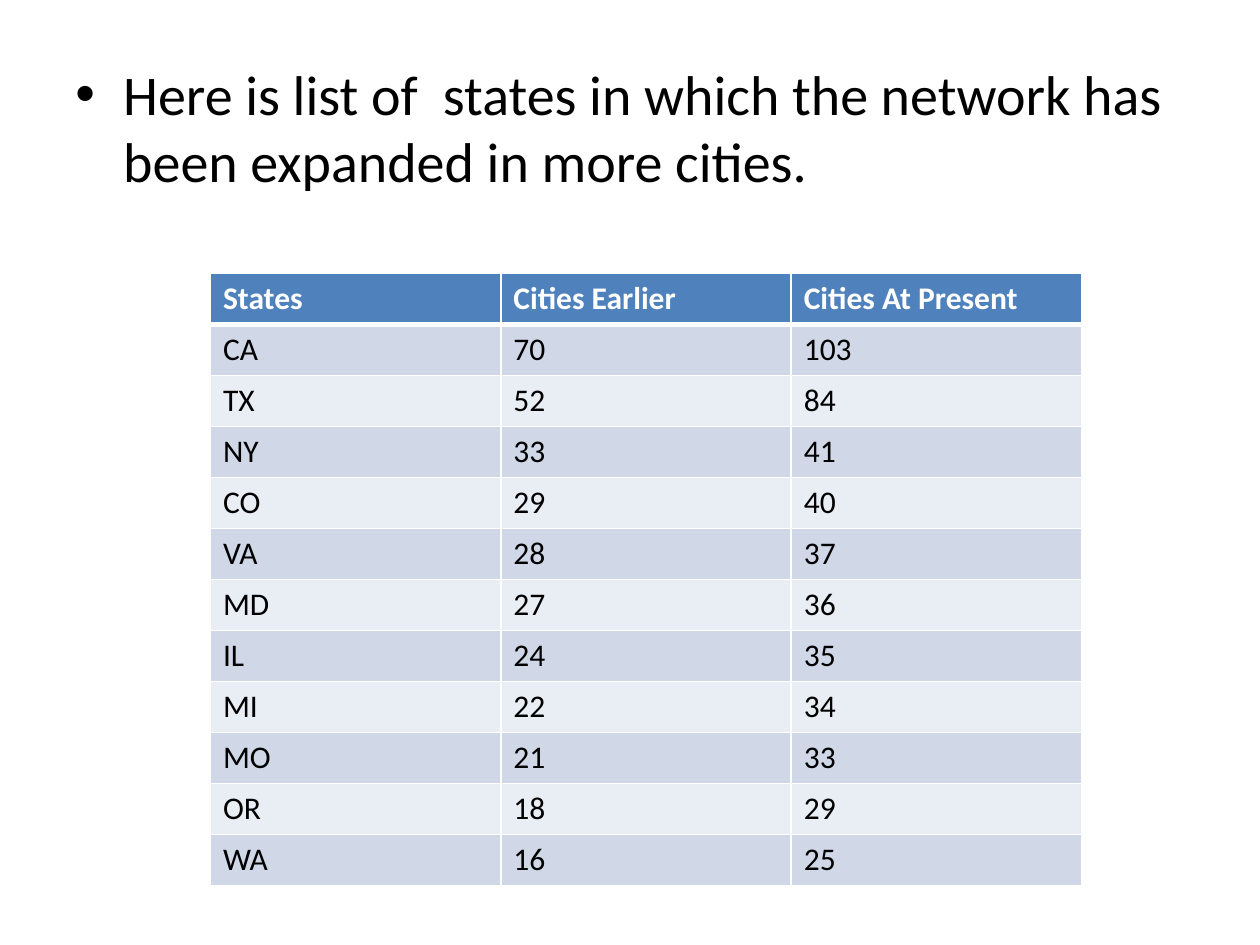
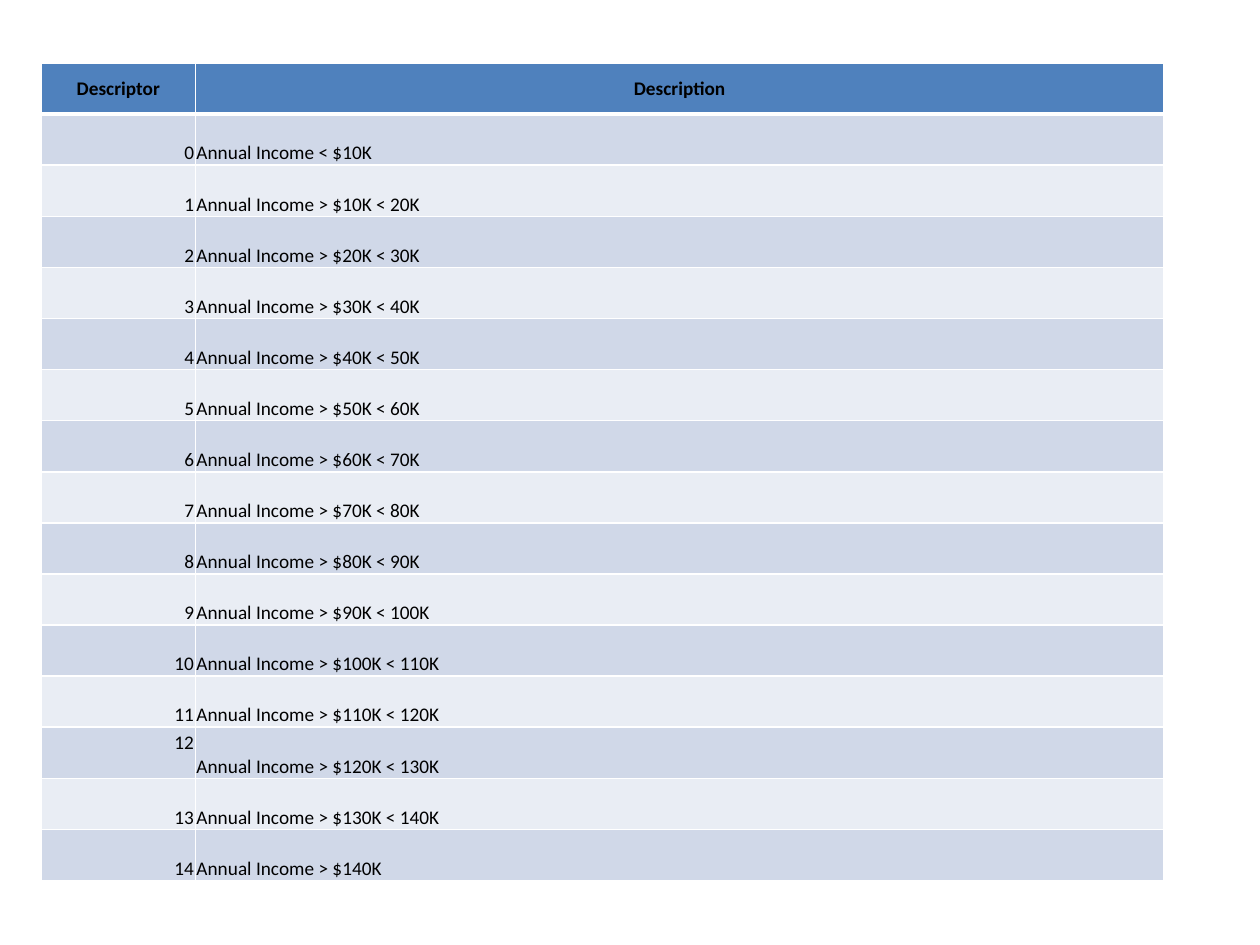
from lxml import etree
from pptx import Presentation
from pptx.dml.color import RGBColor
from pptx.enum.text import MSO_ANCHOR, PP_ALIGN
from pptx.oxml.ns import qn
from pptx.util import Inches, Pt

LEFT, CENTER, RIGHT = PP_ALIGN.LEFT, PP_ALIGN.CENTER, PP_ALIGN.RIGHT
TOP, MIDDLE, BOTTOM = MSO_ANCHOR.TOP, MSO_ANCHOR.MIDDLE, MSO_ANCHOR.BOTTOM

FONT = "Calibri"
COLORS = {
    "text": "000000",
    "white": "FFFFFF",
    "header": "4F81BD",
    "odd_row": "D0D8E8",
    "even_row": "E9EDF4",
}

STATES = [
    ("States", "Cities Earlier", "Cities At Present"),
    ("CA", 70, 103),
    ("TX", 52, 84),
    ("NY", 33, 41),
    ("CO", 29, 40),
    ("VA", 28, 37),
    ("MD", 27, 36),
    ("IL", 24, 35),
    ("MI", 22, 34),
    ("MO", 21, 33),
    ("OR", 18, 29),
    ("WA", 16, 25),
]


def income_bands():
    middle = [f"Annual Income > ${low}K < {low + 10}K" for low in range(10, 140, 10)]
    descriptions = ["Annual Income < $10K", *middle, "Annual Income > $140K"]
    return [("Descriptor", "Description"), *enumerate(descriptions)]


def add_run(paragraph, text, size, color="text", bold=False):
    run = paragraph.add_run()
    run.text = text
    run.font.name = FONT
    run.font.size = Pt(size)
    run.font.bold = bold
    run.font.color.rgb = RGBColor.from_string(COLORS[color])


def add_bullet_text(slide, text, left, top, width, height):
    frame = slide.shapes.add_textbox(
        Inches(left), Inches(top), Inches(width), Inches(height)
    ).text_frame
    frame.word_wrap = True
    paragraph = frame.paragraphs[0]
    add_run(paragraph, text, 32)
    properties = paragraph._p.get_or_add_pPr()
    properties.set("marL", str(Inches(0.38)))
    properties.set("indent", str(Inches(-0.38)))
    spacing = etree.SubElement(properties, qn("a:spcBef"))
    etree.SubElement(spacing, qn("a:spcPct"), val="20000")
    etree.SubElement(properties, qn("a:buFont"), typeface="Arial")
    etree.SubElement(properties, qn("a:buChar"), char="•")


def set_borders(cell, row):
    widths = {"L": 1, "R": 1, "T": 3 if row == 1 else 1, "B": 3 if row == 0 else 1}
    properties = cell._tc.get_or_add_tcPr()
    for position, (side, width) in enumerate(widths.items()):
        line = etree.Element(qn(f"a:ln{side}"), w=str(Pt(width)))
        fill = etree.SubElement(line, qn("a:solidFill"))
        etree.SubElement(fill, qn("a:srgbClr"), val=COLORS["white"])
        properties.insert(position, line)


def set_margins(cell, left, top, right, bottom):
    cell.margin_left, cell.margin_top = Inches(left), Inches(top)
    cell.margin_right, cell.margin_bottom = Inches(right), Inches(bottom)


def add_banded_table(slide, rows, left, top, widths, height, size, header_color,
                     header_align, aligns, header_anchor, anchor, margins):
    table = slide.shapes.add_table(
        len(rows), len(widths), Inches(left), Inches(top),
        Inches(sum(widths)), Inches(height),
    ).table
    for column, width in zip(table.columns, widths):
        column.width = Inches(width)
    for r, values in enumerate(rows):
        is_header = r == 0
        band = "header" if is_header else "odd_row" if r % 2 else "even_row"
        table.rows[r].height = Inches(height / len(rows))
        for c, value in enumerate(values):
            cell = table.cell(r, c)
            cell.fill.solid()
            cell.fill.fore_color.rgb = RGBColor.from_string(COLORS[band])
            cell.vertical_anchor = header_anchor if is_header else anchor
            set_margins(cell, *margins)
            set_borders(cell, r)
            paragraph = cell.text_frame.paragraphs[0]
            paragraph.alignment = header_align if is_header else aligns[c]
            color = header_color if is_header else "text"
            add_run(paragraph, str(value), size, color, is_header)
    return table


def build_states_slide(slide):
    add_bullet_text(
        slide,
        "Here is list of  states in which the network has been expanded in more cities.",
        0.5, 0.42, 9, 4.95,
    )
    add_banded_table(
        slide, STATES, 1.67, 2.17, [2.305] * 3, 4.86, 18, "white",
        LEFT, [LEFT] * 3, TOP, TOP, (0.1, 0.05, 0.1, 0.05),
    )


def build_income_slide(slide):
    table = add_banded_table(
        slide, income_bands(), 0.33, 0.5, [1.22, 7.69], 6.49, 11, "text",
        CENTER, [RIGHT, LEFT], MIDDLE, BOTTOM, (0.01, 0.01, 0.01, 0),
    )
    raised_descriptor = table.cell(13, 0)
    raised_descriptor.margin_bottom = Inches(0.19)


def main():
    presentation = Presentation()
    presentation.slide_width = Inches(10)
    presentation.slide_height = Inches(7.5)
    blank = presentation.slide_layouts[6]
    for build in (build_states_slide, build_income_slide):
        build(presentation.slides.add_slide(blank))
    presentation.save("out.pptx")


if __name__ == "__main__":
    main()
